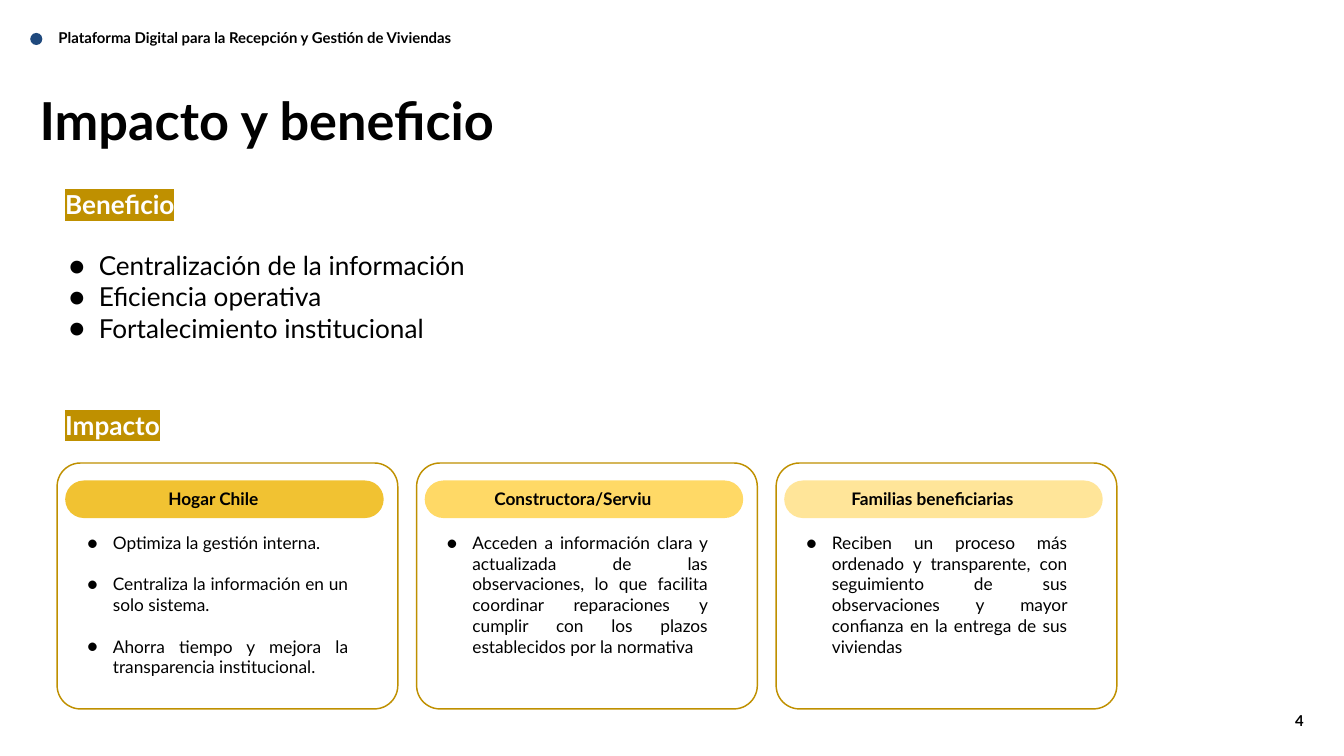
"""Build the slide on impact and benefits of the housing platform."""
from dataclasses import dataclass

from lxml.etree import SubElement
from pptx import Presentation
from pptx.dml.color import RGBColor
from pptx.enum.shapes import MSO_SHAPE
from pptx.enum.text import PP_ALIGN
from pptx.oxml import parse_xml
from pptx.oxml.ns import qn
from pptx.util import Inches, Pt


@dataclass(frozen=True)
class Theme:
    font: str = "Lato"
    ink: str = "000000"
    paper: str = "FFFFFF"
    navy: str = "1F497D"
    gold: str = "BF9000"
    tones: tuple = ("F1C232", "FFD966", "FFE599")
    small: float = 16
    body: float = 18.5
    lead: float = 28
    title: float = 56


class Deck:
    def __init__(self, theme):
        self.theme = theme
        self.file = Presentation()
        self.file.slide_width = Inches(20)
        self.file.slide_height = Inches(11.25)
        self.slide = self.file.slides.add_slide(self.file.slide_layouts[6])

    def shape(self, kind, box, fill, line=None, round=None):
        item = self.slide.shapes.add_shape(kind, *map(Inches, box))
        item.shadow.inherit = False
        item.fill.solid()
        item.fill.fore_color.rgb = RGBColor.from_string(fill)
        if line:
            item.line.color.rgb = RGBColor.from_string(line)
            item.line.width = Pt(1.55)
        else:
            item.line.fill.background()
        if round is not None:
            item.adjustments[0] = round

    def text(self, box, lines, size, bold=False, color=None, align=PP_ALIGN.LEFT,
             pad=(0, 0.07, 0, 0), hang=None, gap=0, mark=None):
        frame = self.slide.shapes.add_textbox(*map(Inches, box)).text_frame
        frame.word_wrap = True
        for side, inset in zip(("left", "top", "right", "bottom"), pad):
            setattr(frame, f"margin_{side}", Inches(inset))
        style = {"name": self.theme.font, "size": Pt(size), "bold": bold}
        for rank, line in enumerate(lines):
            para = frame.add_paragraph() if rank else frame.paragraphs[0]
            if hang:
                self.bullet(para, hang)
            para.alignment = align
            if rank and gap:
                para.space_before = Pt(gap)
            run = para.add_run()
            run.text = line
            for name, value in style.items():
                setattr(run.font, name, value)
            run.font.color.rgb = RGBColor.from_string(color or self.theme.ink)
            if mark:
                self.mark(run, mark)

    def bullet(self, para, hang):
        props = para._p.get_or_add_pPr()
        props.set("marL", str(Inches(0.5)))
        props.set("indent", str(-Inches(hang)))
        tint = SubElement(props, qn("a:buClr"))
        SubElement(tint, qn("a:srgbClr"), val=self.theme.ink)
        SubElement(props, qn("a:buFont"), typeface=self.theme.font)
        SubElement(props, qn("a:buChar"), char="●")

    def mark(self, run, color):
        space = "http://schemas.openxmlformats.org/drawingml/2006/main"
        glow = parse_xml(f'<a:highlight xmlns:a="{space}"><a:srgbClr val="{color}"/></a:highlight>')
        run._r.rPr.find(qn("a:solidFill")).addnext(glow)

    def label(self, top, words):
        self.text((0.97, top, 13.95, 0.56), [words], self.theme.lead, True,
                  self.theme.paper, mark=self.theme.gold)

    def card(self, left, tone, head, points):
        look = self.theme
        box = MSO_SHAPE.ROUNDED_RECTANGLE
        self.shape(box, (left, 6.89, 5.07, 3.66), look.paper, look.gold, 0.095)
        self.shape(box, (left + 0.12, 7.15, 4.74, 0.56), tone, round=0.5)
        self.text((left + 0.89, 7.2, 2.87, 0.45), [head], look.body, True,
                  align=PP_ALIGN.CENTER, pad=(0, 0.06, 0, 0))
        self.text((left + 0.12, 7.71, 4.42, 2.6), points, look.body,
                  align=PP_ALIGN.JUSTIFY, pad=(0.21,) * 4, hang=0.38, gap=22.2)


CARDS = (
    ("Hogar Chile", ["Optimiza la gestión interna.",
                     "Centraliza la información en un solo sistema.",
                     "Ahorra tiempo y mejora la transparencia institucional."]),
    ("Constructora/Serviu", ["Acceden a información clara y actualizada de las observaciones, "
                             "lo que facilita coordinar reparaciones y cumplir con los plazos "
                             "establecidos por la normativa"]),
    ("Familias beneficiarias", ["Reciben un proceso más ordenado y transparente, con "
                                "seguimiento de sus observaciones y mayor confianza en la "
                                "entrega de sus viviendas"]),
)


def main():
    look = Theme()
    deck = Deck(look)
    deck.text((0.85, 0.41, 9.01, 0.37),
              ["Plataforma Digital para la Recepción y Gestión de Viviendas"],
              look.small, True, pad=(0.02,) * 4)
    deck.shape(MSO_SHAPE.OVAL, (0.45, 0.49, 0.18, 0.18), look.navy)
    deck.text((0.59, 1.24, 7.44, 1.17), ["Impacto y beneficio"], look.title, True)
    deck.label(2.74, "Beneficio")
    deck.text((0.97, 3.64, 13.95, 1.76),
              ["Centralización de la información", "Eficiencia operativa",
               "Fortalecimiento institucional"], look.lead, hang=0.44)
    deck.label(6.02, "Impacto")
    for rank, (tone, (head, points)) in enumerate(zip(look.tones, CARDS)):
        deck.card(0.85 + 5.35 * rank, tone, head, points)
    deck.text((18.62, 10.55, 0.82, 0.37), ["4"], look.small, True,
              align=PP_ALIGN.RIGHT, pad=(0.04,) * 4)
    deck.file.save("out.pptx")


if __name__ == "__main__":
    main()
